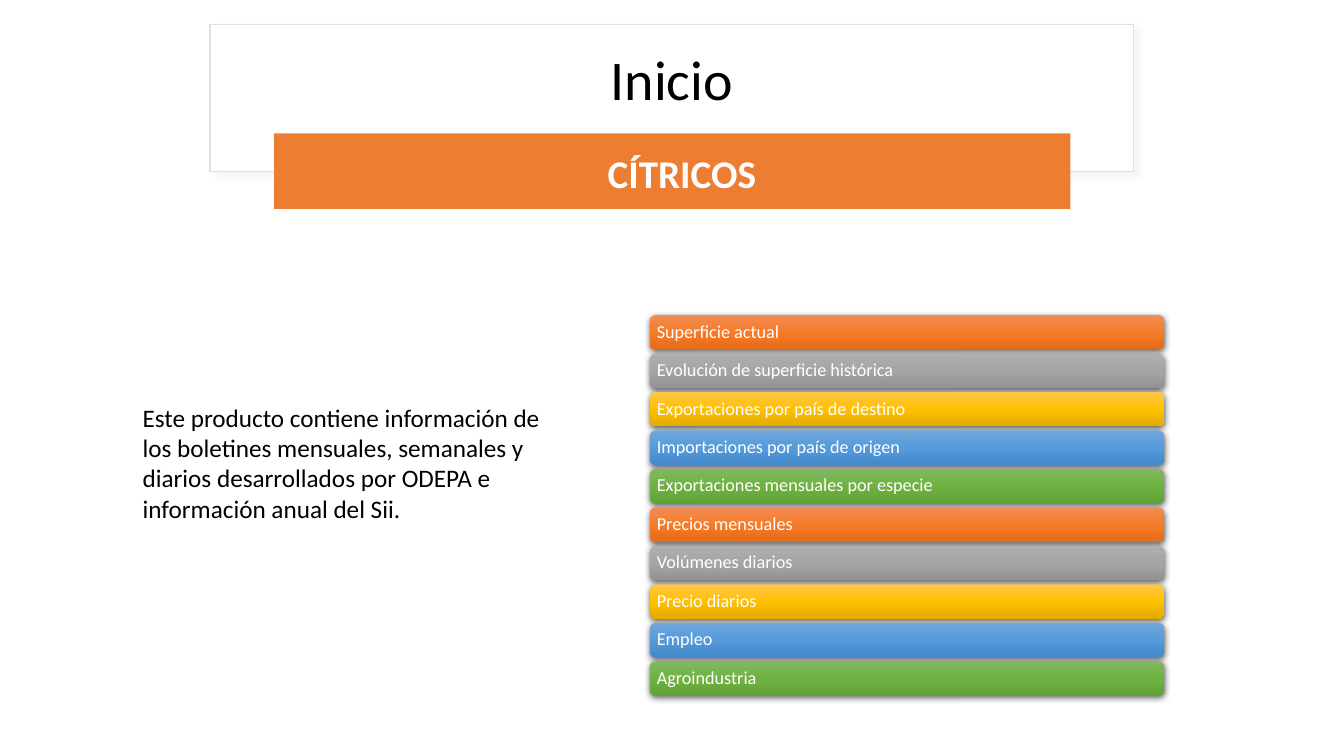
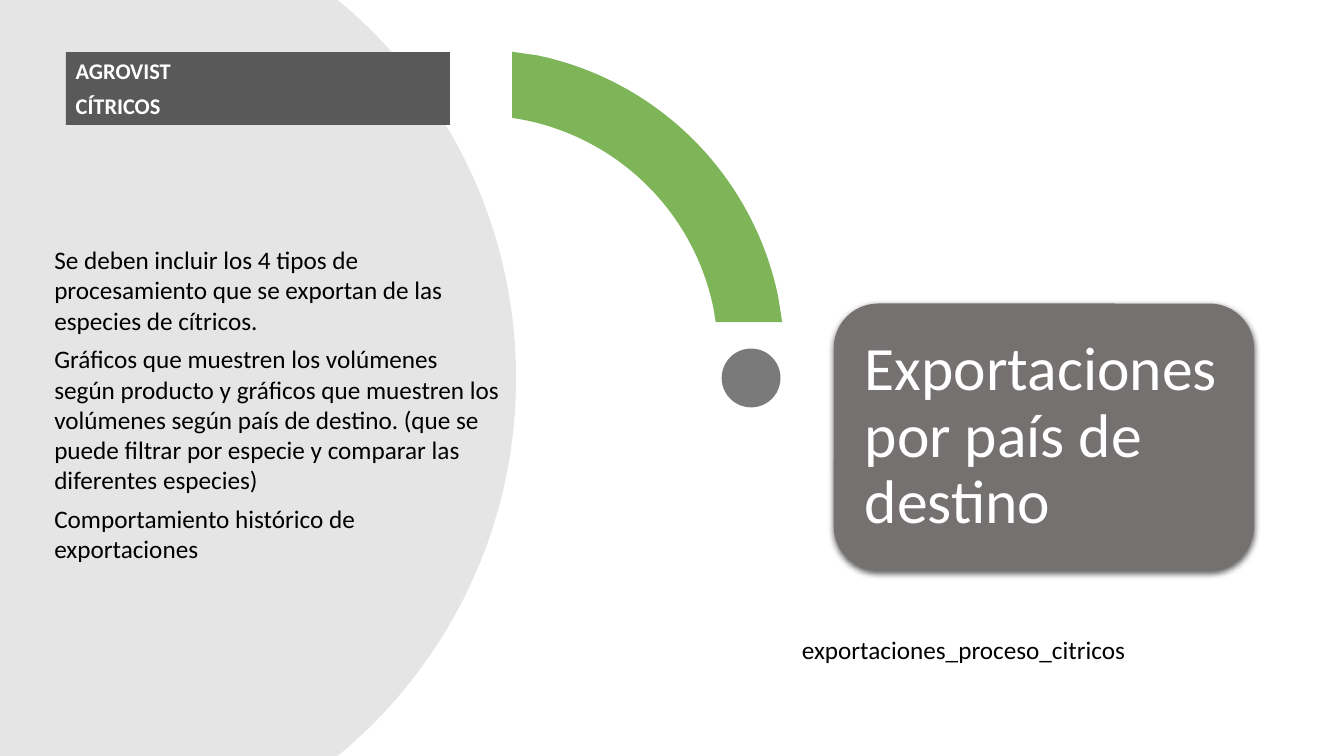
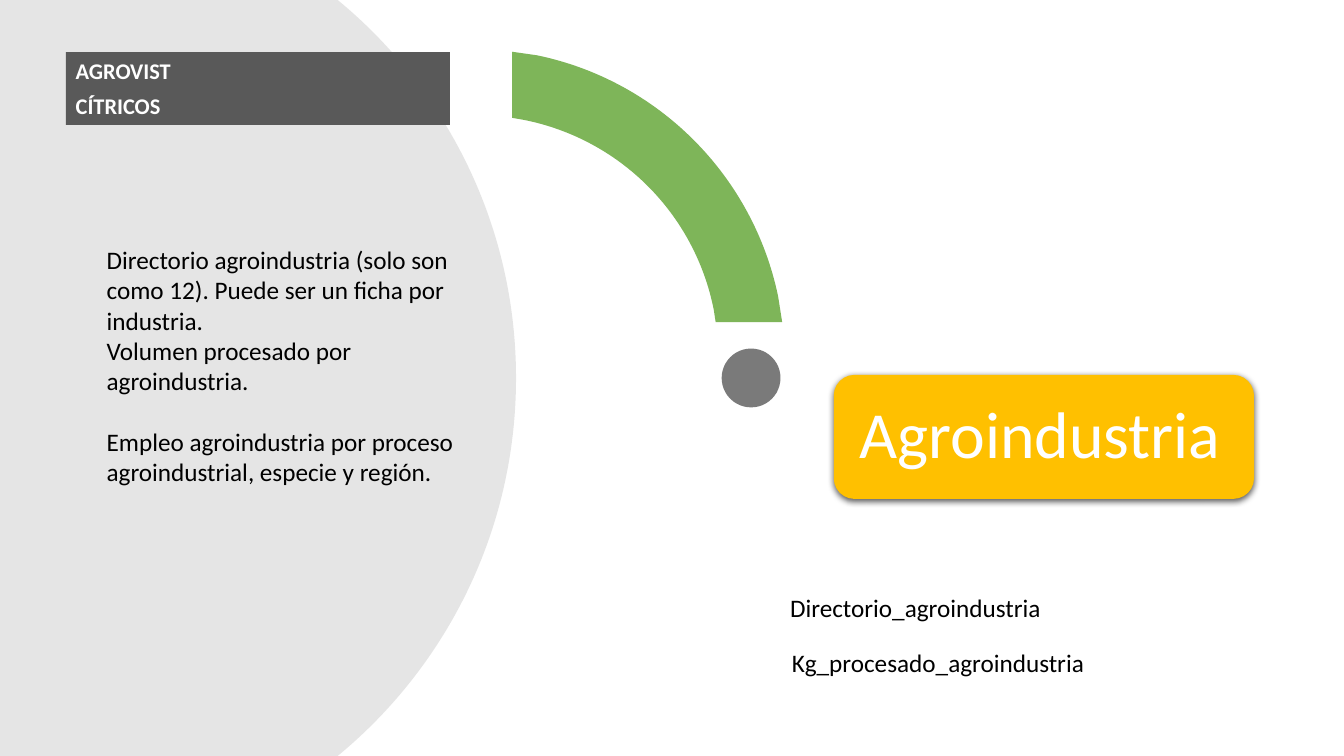
from copy import deepcopy

from lxml import etree
from pptx import Presentation
from pptx.dml.color import RGBColor
from pptx.enum.shapes import MSO_SHAPE
from pptx.enum.text import MSO_ANCHOR, PP_ALIGN
from pptx.oxml.ns import qn
from pptx.util import Pt

RECT, ROUNDED, OVAL = MSO_SHAPE.RECTANGLE, MSO_SHAPE.ROUNDED_RECTANGLE, MSO_SHAPE.OVAL
TOP, MIDDLE = MSO_ANCHOR.TOP, MSO_ANCHOR.MIDDLE
LEFT, CENTER = PP_ALIGN.LEFT, PP_ALIGN.CENTER

THEME = {
    "font": "Calibri",
    "black": "000000", "white": "FFFFFF", "frame": "E1E1E1",
    "orange": "ED7D31", "gold": "FFC000", "green": "70AD47",
    "dark": "595959", "disc": "808080", "taupe": "767171",
    "bars": [
        ("F18C57", "F67B28", "E56C19"),
        ("AFAFAF", "A5A5A5", "939393"),
        ("FFC64B", "FFC000", "E3AB00"),
        ("71A6DB", "559BDB", "448ACA"),
        ("81B861", "6FB242", "62A336"),
    ],
    # colour, opacity %, blur, distance, angle
    "soft_shadow": ("C5C3C3", 15, 4, 4, 45),
    "shadow": ("000000", 63, 4.5, 1.5, 90),
    "title": 40, "banner": 28, "body": 18, "tag": 16, "bar": 13,
}


def dress(sp, fill, alpha=100, line=None, shadow=None):
    """Set fill (one colour, or a tuple of gradient colours), outline and shadow."""
    if isinstance(fill, tuple):
        sp.fill.gradient()
        sp.fill.gradient_angle = 270
        stops = sp._element.spPr.find(".//" + qn("a:gsLst"))
        stops.insert(1, deepcopy(stops[0]))
        for i, (stop, colour) in enumerate(zip(sp.fill.gradient_stops, fill)):
            stop.position = i / 2
            stop.color.rgb = RGBColor.from_string(colour)
    else:
        sp.fill.solid()
        sp.fill.fore_color.rgb = RGBColor.from_string(fill)
        if alpha < 100:
            colour = sp._element.spPr.find(".//" + qn("a:srgbClr"))
            etree.SubElement(colour, qn("a:alpha"), val=str(alpha * 1000))
    if line:
        sp.line.color.rgb = RGBColor.from_string(line)
        sp.line.width = Pt(0.75)
    else:
        sp.line.fill.background()
    sp.shadow.inherit = False
    if shadow:
        rgb, opacity, blur, dist, angle = shadow
        effects = sp._element.spPr.find(qn("a:effectLst"))
        outer = etree.SubElement(
            effects, qn("a:outerShdw"), blurRad=str(Pt(blur)), dist=str(Pt(dist)),
            dir=str(angle * 60000), algn="ctr", rotWithShape="0")
        colour = etree.SubElement(outer, qn("a:srgbClr"), val=rgb)
        etree.SubElement(colour, qn("a:alpha"), val=str(opacity * 1000))


def write(sp, lines, size, color="black", bold=False, anchor=TOP, side=7.2, **para):
    """Fill a shape with one paragraph per line; para holds paragraph formats."""
    tf = sp.text_frame
    frame = {"word_wrap": True, "vertical_anchor": anchor,
             "margin_left": Pt(side), "margin_right": Pt(side),
             "margin_top": Pt(3.6), "margin_bottom": Pt(3.6)}
    for name, value in frame.items():
        setattr(tf, name, value)
    for i, line in enumerate(lines):
        p = tf.paragraphs[0] if i == 0 else tf.add_paragraph()
        for name, value in {"alignment": LEFT, **para}.items():
            setattr(p, name, value)
        r = p.add_run()
        r.text = line
        font = {"name": THEME["font"], "size": Pt(size), "bold": bold}
        for name, value in font.items():
            setattr(r.font, name, value)
        r.font.color.rgb = RGBColor.from_string(THEME[color])


prs = Presentation()
prs.slide_width, prs.slide_height = Pt(960), Pt(540)
blank = prs.slide_layouts[6]

# Slide 1: start page with the list of topics
s = prs.slides.add_slide(blank)
sp = s.shapes.add_shape(RECT, Pt(150), Pt(17.3), Pt(660), Pt(105))
dress(sp, THEME["white"], line=THEME["frame"], shadow=THEME["soft_shadow"])
sp = s.shapes.add_textbox(Pt(165.6), Pt(24.5), Pt(628.6), Pt(68.4))
write(sp, ["Inicio"], THEME["title"], anchor=MIDDLE, alignment=CENTER,
      line_spacing=0.9, space_after=Pt(6))
sp = s.shapes.add_shape(RECT, Pt(195.8), Pt(95.3), Pt(568.8), Pt(54))
dress(sp, THEME["orange"])
sp = s.shapes.add_textbox(Pt(213.1), Pt(101.5), Pt(548), Pt(47.5))
write(sp, ["CÍTRICOS"], THEME["banner"], "white", True, MIDDLE, alignment=CENTER,
      line_spacing=0.9, space_before=Pt(10), space_after=Pt(6))
sp = s.shapes.add_textbox(Pt(94.8), Pt(283.8), Pt(306), Pt(94.3))
write(sp, ["Este producto contiene información de los boletines mensuales, semanales y "
           "diarios desarrollados por ODEPA e información anual del Sii."],
      THEME["body"], space_after=Pt(6))

topics = [
    "Superficie actual",
    "Evolución de superficie histórica",
    "Exportaciones por país de destino",
    "Importaciones por país de origen",
    "Exportaciones mensuales por especie",
    "Precios mensuales",
    "Volúmenes diarios",
    "Precio diarios",
    "Empleo",
    "Agroindustria",
]
bars_top, bar_pitch = 225.1, 27.47
for i, topic in enumerate(topics):
    sp = s.shapes.add_shape(ROUNDED, Pt(464.4), Pt(bars_top + i * bar_pitch),
                            Pt(367.2), Pt(24.5))
    dress(sp, THEME["bars"][i % len(THEME["bars"])], shadow=THEME["shadow"])
    write(sp, [topic], THEME["bar"], "white", anchor=MIDDLE, side=3.6, line_spacing=0.9)

# Outlines of the topic pages: points, then where each curve's three points begin
outlines = [
    ([(0, 0), (241.2, 0), (319, 64.1), (368.6, 161.3), (368.6, 270),
      (368.6, 378.7), (319, 475.9), (241.2, 540), (0, 540)], [2, 5], "disc", 20),
    ([(365.8, 37), (383.8, 39.6), (470.2, 57.6), (537.8, 125.3), (555.8, 211.7),
      (558.7, 230.2), (511.2, 230.2), (509.8, 221), (496.1, 152.6), (442.8, 99.4),
      (374.4, 85.7), (365.8, 84.2)], [2, 8], "green", 90),
]

# Slides 2 and 3: one topic each
pages = [
    {
        "card": ("Exportaciones por país de destino", 216.8, 190.8, "taupe", 44, 12.9),
        "body": (31.7, 334, [
            ("Se deben incluir los 4 tipos de procesamiento que se exportan de las "
             "especies de cítricos."),
            ("Gráficos que muestren los volúmenes según producto y gráficos que muestren "
             "los volúmenes según país de destino. (que se puede filtrar por especie y "
             "comparar las diferentes especies)"),
            "Comportamiento histórico de exportaciones",
        ], 6),
        "gap": 0,
        "tables": [(565.7, 449.3, 339, "exportaciones_proceso_citricos")],
    },
    {
        "card": ("Agroindustria", 267.8, 88.6, "gold", 47, 14.1),
        "body": (69.1, 274.3, [
            ("Directorio agroindustria (solo son como 12). Puede ser un ficha por "
             "industria."),
            "Volumen procesado por agroindustria.",
            "Empleo agroindustria por proceso agroindustrial, especie y región.",
        ], 0),
        "gap": 21.7,
        "tables": [(558.5, 458.6, 380, "Kg_procesado_agroindustria"),
                   (557.3, 419.3, 380, "Directorio_agroindustria")],
    },
]
for page in pages:
    s = prs.slides.add_slide(blank)
    for points, curve_starts, fill, alpha in outlines:
        points = [(Pt(x), Pt(y)) for x, y in points]
        outline = s.shapes.build_freeform(*points[0])
        outline.add_line_segments(points[1:], close=True)
        sp = outline.convert_to_shape()
        segments = sp._element.findall(".//" + qn("a:lnTo"))
        for start in curve_starts:
            trio = segments[start - 1:start + 2]
            curve = etree.Element(qn("a:cubicBezTo"))
            trio[0].addprevious(curve)
            for segment in trio:
                curve.append(segment[0])
                segment.getparent().remove(segment)
        dress(sp, THEME[fill], alpha)
    sp = s.shapes.add_shape(OVAL, Pt(515.5), Pt(249), Pt(42), Pt(42))
    dress(sp, THEME["dark"], 80)

    left, width, lines, after = page["body"]
    sp = s.shapes.add_textbox(Pt(left), Pt(171.1), Pt(width), Pt(237))
    write(sp, lines, THEME["body"], space_after=Pt(after))
    sp.text_frame.paragraphs[-1].space_before = Pt(page["gap"])

    title, top, height, fill, size, side = page["card"]
    sp = s.shapes.add_shape(ROUNDED, Pt(595.6), Pt(top), Pt(300.2), Pt(height))
    dress(sp, THEME[fill], shadow=THEME["shadow"])
    write(sp, [title], size, "white", anchor=MIDDLE, side=side, line_spacing=0.9)

    for left, top, width, name in page["tables"]:
        sp = s.shapes.add_textbox(Pt(left), Pt(top), Pt(width), Pt(29))
        write(sp, [name], THEME["body"])

    sp = s.shapes.add_shape(RECT, Pt(47), Pt(37.2), Pt(274.3), Pt(52))
    dress(sp, THEME["dark"])
    write(sp, ["AGROVIST", "CÍTRICOS"], THEME["tag"], "white", True, space_after=Pt(6))

prs.save("out.pptx")
